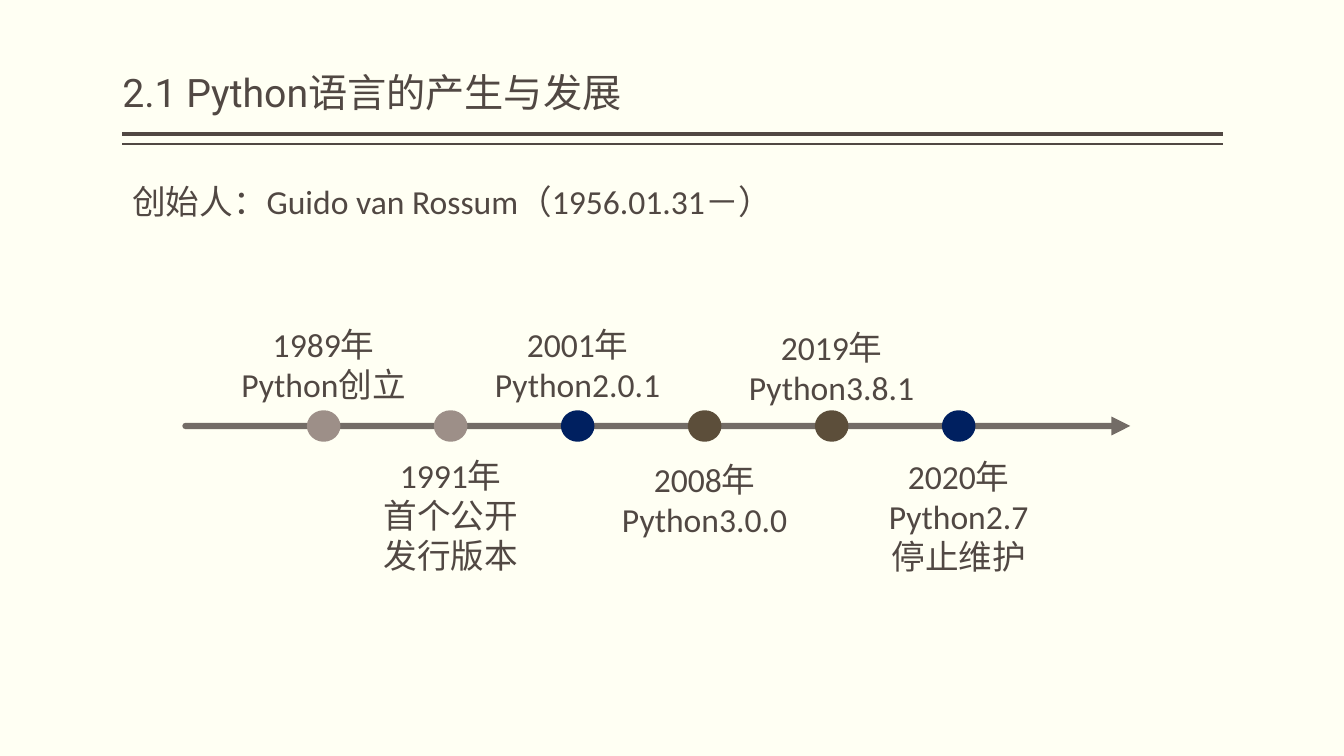
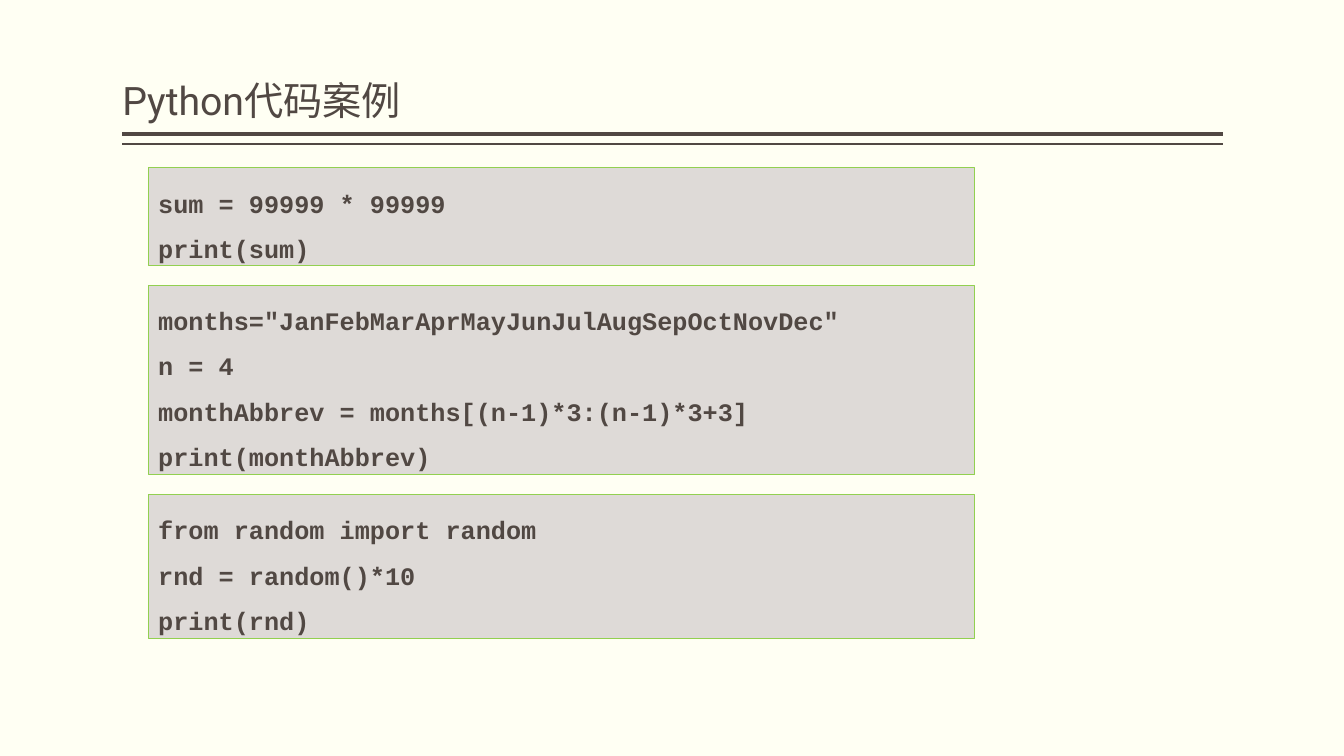
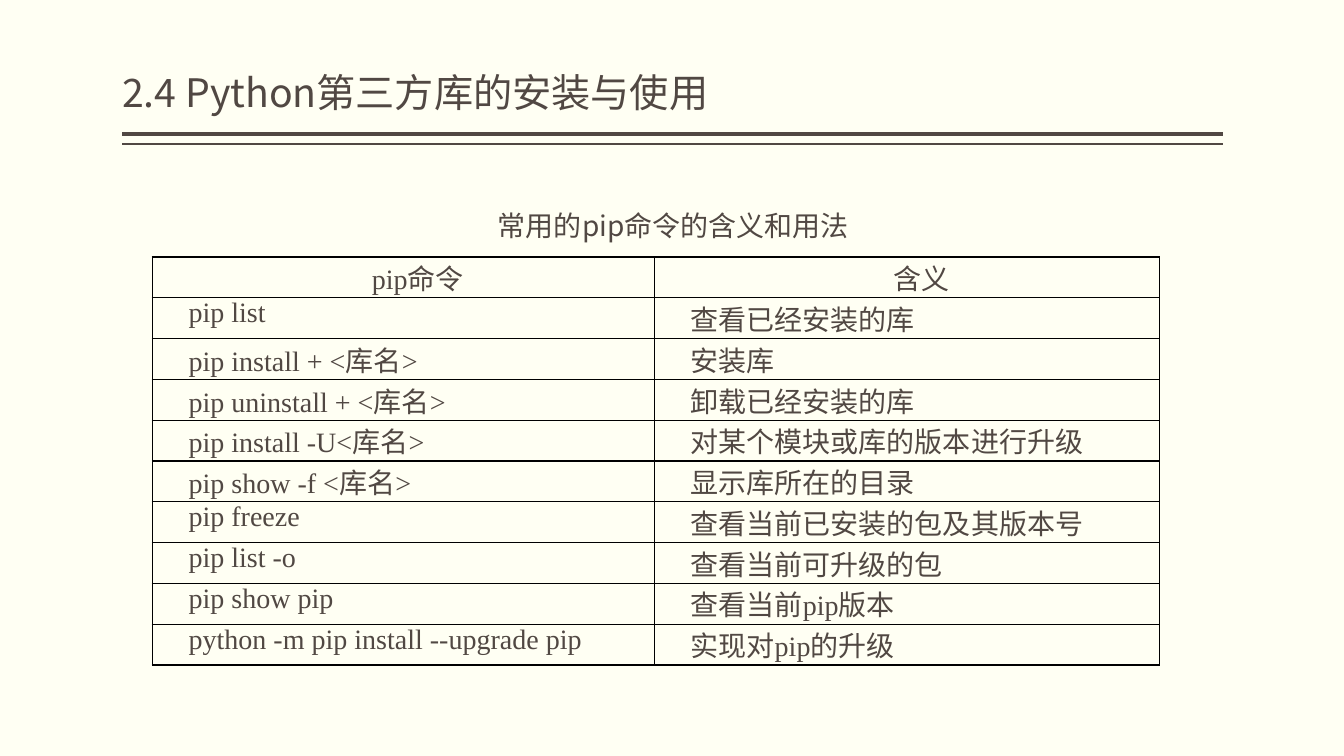
from lxml.etree import SubElement
from pptx import Presentation
from pptx.dml.color import RGBColor
from pptx.enum.shapes import MSO_CONNECTOR, MSO_SHAPE
from pptx.enum.text import MSO_ANCHOR, MSO_AUTO_SIZE, PP_ALIGN
from pptx.oxml.ns import qn
from pptx.util import Inches, Pt

LEFT, CENTER, JUSTIFY = PP_ALIGN.LEFT, PP_ALIGN.CENTER, PP_ALIGN.JUSTIFY
TOP, BOTTOM = MSO_ANCHOR.TOP, MSO_ANCHOR.BOTTOM
GROW = MSO_AUTO_SIZE.SHAPE_TO_FIT_TEXT
STRAIGHT = MSO_CONNECTOR.STRAIGHT
RECTANGLE, OVAL = MSO_SHAPE.RECTANGLE, MSO_SHAPE.OVAL

INK, PAPER, CODE_FILL, CODE_LINE = "514843", "FFFFF3", "DEDAD7", "92D050"
TAUPE, NAVY, BROWN, BLACK = "9D8F88", "002060", "5C4E3A", "000000"
NOTO = "Noto Sans CJK SC"
TITLE = {"name": "Roboto", "size": Pt(28)}
BODY = {"name": "Calibri", "size": Pt(24)}
CODE = {"name": "Courier New", "size": Pt(18), "bold": True}
CAPTION = {"name": NOTO, "size": Pt(20)}
CELL = {"name": "Times New Roman", "size": Pt(20)}
MARGIN, CONTENT_WIDTH = 9.1, 81.9


def color(value):
    return RGBColor.from_string(value)


def set_attributes(target, values):
    for name, value in values.items():
        setattr(target, name, value)


class Deck:
    def __init__(self):
        self.presentation = Presentation()
        self.presentation.slide_width = Inches(13.33)
        self.presentation.slide_height = Inches(7.5)
        background = self.presentation.slide_master.background.fill
        background.solid()
        background.fore_color.rgb = color(PAPER)
        self.slide = None

    def x(self, percent):
        return round(self.presentation.slide_width * percent / 100)

    def y(self, percent):
        return round(self.presentation.slide_height * percent / 100)

    def box(self, left, top, width, height):
        return self.x(left), self.y(top), self.x(width), self.y(height)

    def new_slide(self, title, top=0, font=TITLE):
        self.slide = self.presentation.slides.add_slide(self.presentation.slide_layouts[6])
        for height, weight in ((17.73, 3), (19.07, 1)):
            self.line(MARGIN, MARGIN + CONTENT_WIDTH, height, weight)
        frame = self.text((MARGIN, top, CONTENT_WIDTH, 16), [title], font, spacing=0.9)
        set_attributes(frame, {"margin_left": 0, "margin_right": 0, "vertical_anchor": BOTTOM})

    def line(self, start, end, height, weight):
        connector = self.slide.shapes.add_connector(
            STRAIGHT, self.x(start), self.y(height), self.x(end), self.y(height))
        connector.line.color.rgb = color(INK)
        connector.line.width = Pt(weight)
        SubElement(connector._element.spPr, qn("a:effectLst"))
        return connector

    def arrow(self, start, end, height, weight):
        outline = self.line(start, end, height, weight).line._get_or_add_ln()
        outline.set("cap", "rnd")
        SubElement(outline.find(".//" + qn("a:srgbClr")), qn("a:alpha"), val="80000")
        SubElement(outline, qn("a:tailEnd"), type="triangle")

    def shape(self, kind, place, fill, outline, weight):
        shape = self.slide.shapes.add_shape(kind, *self.box(*place))
        shape.shadow.inherit = False
        shape.fill.solid()
        shape.fill.fore_color.rgb = color(fill)
        shape.line.color.rgb = color(outline)
        shape.line.width = Pt(weight)
        return shape

    def add_words(self, paragraph, content, font, align=LEFT, spacing=1.0, east_asian=None):
        set_attributes(paragraph, {"alignment": align, "line_spacing": spacing})
        run = paragraph.add_run()
        run.text = content
        set_attributes(run.font, font)
        run.font.color.rgb = color(INK)
        SubElement(run._r.get_or_add_rPr(), qn("a:ea"), typeface=east_asian or font["name"])

    def fill_frame(self, frame, lines, font, **layout):
        for index, content in enumerate(lines):
            paragraph = frame.add_paragraph() if index else frame.paragraphs[0]
            self.add_words(paragraph, content, font, **layout)

    def text(self, place, lines, font, wrap=True, **layout):
        frame = self.slide.shapes.add_textbox(*self.box(*place)).text_frame
        frame.word_wrap = wrap
        self.fill_frame(frame, lines, font, **layout)
        return frame

    def code(self, place, lines):
        frame = self.shape(RECTANGLE, place, CODE_FILL, CODE_LINE, 0.75).text_frame
        set_attributes(frame, {"word_wrap": True, "vertical_anchor": TOP, "auto_size": GROW})
        self.fill_frame(frame, lines, CODE, spacing=1.5)

    def cell(self, cell, content, align):
        set_attributes(cell, {"margin_left": Inches(0.07), "margin_right": Inches(0.07),
                              "margin_top": 0, "margin_bottom": 0})
        paragraph = cell.text_frame.paragraphs[0]
        self.add_words(paragraph, content, CELL, align, east_asian=NOTO)
        paragraph._p.get_or_add_pPr().set("indent", str(Inches(0.29)))
        properties = cell._tc.get_or_add_tcPr()
        for side in ("lnL", "lnR", "lnT", "lnB"):
            border = SubElement(properties, qn("a:" + side), w=str(Pt(1)))
            SubElement(SubElement(border, qn("a:solidFill")), qn("a:srgbClr"), val=BLACK)
        cell.fill.background()

    def table(self, left, top, widths, row_height, rows):
        place = self.box(left, top, sum(widths), row_height * len(rows))
        table = self.slide.shapes.add_table(len(rows), len(widths), *place).table
        set_attributes(table, {"first_row": False, "horz_banding": False})
        for column, width in zip(table.columns, widths):
            column.width = self.x(width)
        for index, row in enumerate(rows):
            table.rows[index].height = self.y(row_height)
            for position, content in enumerate(row):
                align = (LEFT, JUSTIFY)[position] if index else CENTER
                self.cell(table.cell(index, position), content, align)


def timeline_slide(deck):
    deck.new_slide("2.1 Python语言的产生与发展")
    deck.text((MARGIN, 23.33, CONTENT_WIDTH, 8.3),
              ["创始人：Guido van Rossum（1956.01.31－）"], BODY)
    axis, first, step, label_width = 56.35, 24.08, 9.45, 15.4
    marker_width, marker_height = 2.1, 3.47
    events = (
        (42.13, TAUPE, ("1989年", "Python创立")),
        (59.47, TAUPE, ("1991年", "首个公开", "发行版本")),
        (42.13, NAVY, ("2001年", "Python2.0.1")),
        (60, BROWN, ("2008年", "Python3.0.0")),
        (42.53, BROWN, ("2019年", "Python3.8.1")),
        (59.6, NAVY, ("2020年", "Python2.7", "停止维护")),
    )
    deck.arrow(13.8, 84.1, axis, 4.5)
    for index, (top, fill, lines) in enumerate(events):
        center = first + index * step
        deck.shape(OVAL, (center - marker_width / 2, axis - marker_height / 2,
                          marker_width, marker_height), fill, fill, 3.78)
        place = (center - label_width / 2, top, label_width, 1.4 + 5.35 * len(lines))
        deck.text(place, lines, BODY, wrap=False, align=CENTER).auto_size = GROW


def code_slide(deck):
    deck.new_slide("Python代码案例", top=1.05)
    examples = (
        ("sum = 99999 * 99999", "print(sum)"),
        ('months="JanFebMarAprMayJunJulAugSepOctNovDec"', "n = 4",
         "monthAbbrev = months[(n-1)*3:(n-1)*3+3]", "print(monthAbbrev)"),
        ("from random import random", "rnd = random()*10", "print(rnd)"),
    )
    top, gap = 22.2, 2.6
    for lines in examples:
        height = 0.8 + 6.07 * len(lines)
        deck.code((11.03, top, 61.5, height), lines)
        top += height + gap


def table_slide(deck):
    deck.new_slide("2.4 Python第三方库的安装与使用", font={**TITLE, "name": NOTO})
    deck.text((36.3, 24.67, 29, 9.33), ["常用的pip命令的含义和用法"], CAPTION,
              align=JUSTIFY, spacing=1.5)
    deck.table(11.33, 34, (37.35, 37.6), 5.4, (
        ("pip命令", "含义"),
        ("pip list", "查看已经安装的库"),
        ("pip install + <库名>", "安装库"),
        ("pip uninstall + <库名>", "卸载已经安装的库"),
        ("pip install -U<库名>", "对某个模块或库的版本进行升级"),
        ("pip show -f <库名>", "显示库所在的目录"),
        ("pip freeze", "查看当前已安装的包及其版本号"),
        ("pip list -o", "查看当前可升级的包"),
        ("pip show pip", "查看当前pip版本"),
        ("python -m pip install --upgrade pip", "实现对pip的升级"),
    ))


def main():
    deck = Deck()
    for build in (timeline_slide, code_slide, table_slide):
        build(deck)
    deck.presentation.save("out.pptx")


if __name__ == "__main__":
    main()
